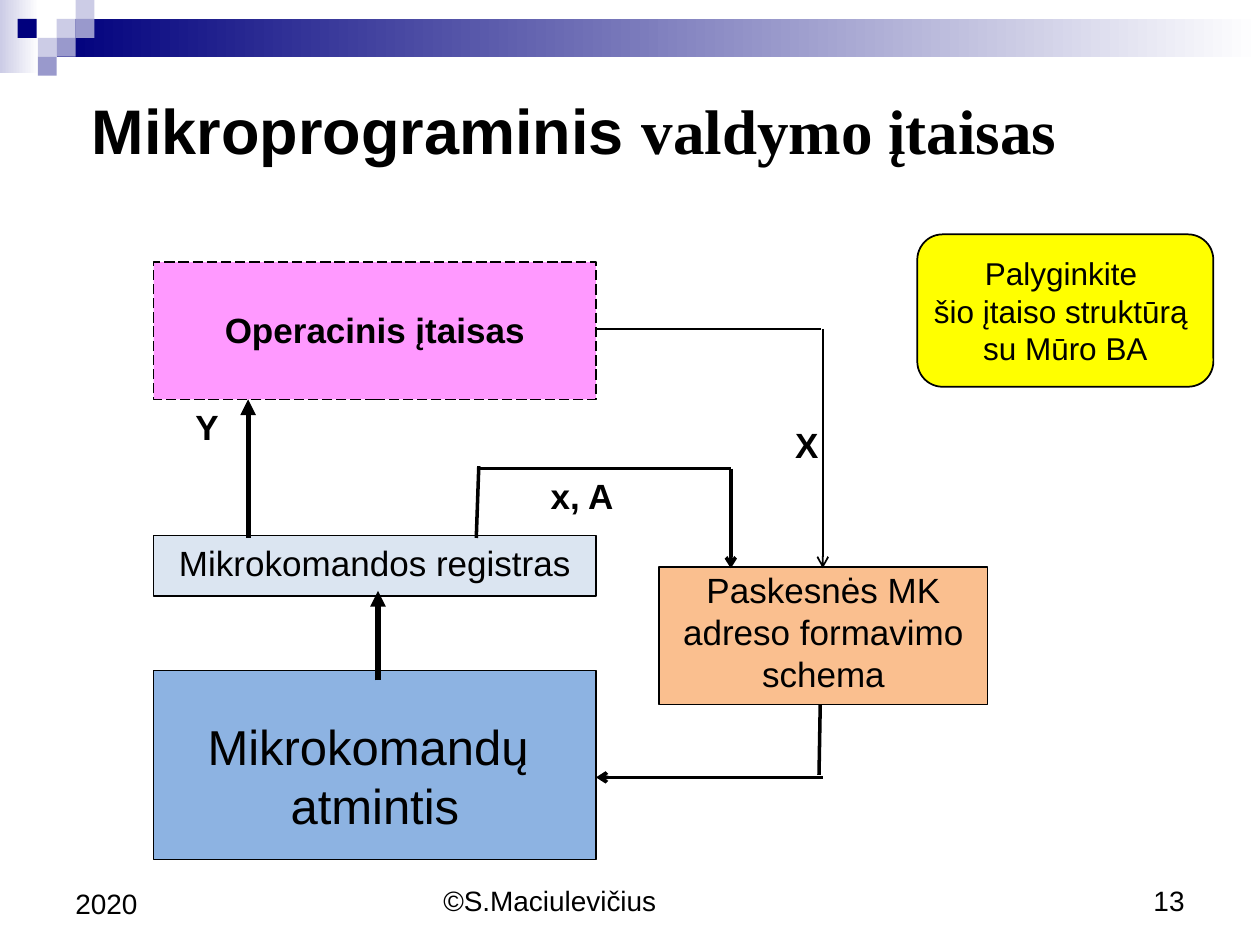
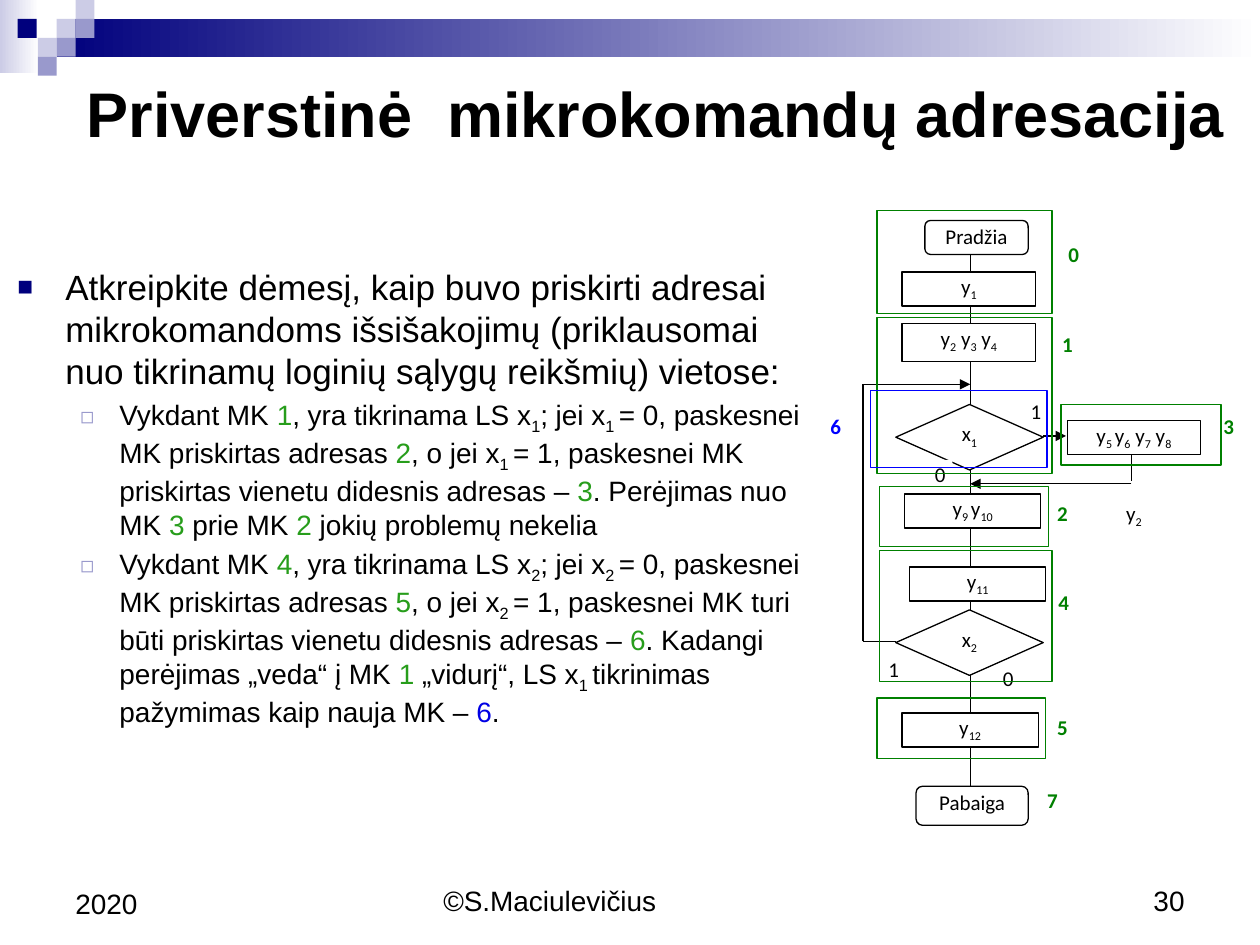
from lxml import etree
from pptx import Presentation
from pptx.dml.color import RGBColor
from pptx.enum.dml import MSO_LINE
from pptx.enum.shapes import MSO_CONNECTOR, MSO_SHAPE
from pptx.enum.text import MSO_ANCHOR, MSO_AUTO_SIZE, PP_ALIGN
from pptx.oxml.ns import qn
from pptx.util import Inches, Pt

RECT, ROUND, DIAMOND = MSO_SHAPE.RECTANGLE, MSO_SHAPE.ROUNDED_RECTANGLE, MSO_SHAPE.DIAMOND
LEFT, CENTER, RIGHT = PP_ALIGN.LEFT, PP_ALIGN.CENTER, PP_ALIGN.RIGHT
TOP, MIDDLE, BOTTOM = MSO_ANCHOR.TOP, MSO_ANCHOR.MIDDLE, MSO_ANCHOR.BOTTOM

BLACK, WHITE, NAVY = "000000", "FFFFFF", "00007D"
PALE, LILAC = "CCCCE6", "9999CC"
GREEN, BLUE = "008000", "0000FF"
TEXT_GREEN, TEXT_BLUE = "279D1B", "0000E4"
NORMAL_INSETS = (0.1, 0.05, 0.1, 0.05)
TIGHT_INSETS = (0.02, 0.01, 0.02, 0.01)

# Marked runs: {_sub}, {ggreen}, {bblue}, {tTimes}

# Shared decoration and footers
GRADIENTS = [((0, 0, 0.31, 0.58), PALE), ((0.45, 0.15, 9.55, 0.3), NAVY)]
SQUARE = 0.15
SQUARES = [(0.45, 0.15, PALE), (0.6, 0, PALE), (0.6, 0.15, LILAC), (0.3, 0.3, PALE),
           (0.14, 0.15, NAVY), (0.45, 0.3, LILAC), (0.3, 0.45, LILAC)]
YEAR, AUTHOR = "2020", "©S.Maciulevičius"

# Slide 13: control unit
UNIT_TITLE = "Mikroprograminis {tvaldymo įtaisas}"
# text, place, fill, size, bold, insets, dash
UNIT_BLOCKS = [
    (["Mikrokomandos registras"], (1.22, 4.25, 3.51, 0.48), "DBE5F1", 20, False, NORMAL_INSETS, None),
    (["Operacinis įtaisas"], (1.22, 2.08, 3.51, 1.09), "FF99FF", 20, True,
     (0.1, 0.37, 0.1, 0.05), MSO_LINE.LONG_DASH),
    (["Mikrokomandų ", "atmintis"], (1.22, 5.32, 3.51, 1.5), "8DB3E2", 28, False,
     (0.1, 0.37, 0.1, 0.05), None),
    (["Paskesnės MK adreso formavimo schema"], (5.23, 4.5, 2.61, 1.09), "FABF8F", 20, False,
     (0.1, 0.01, 0.1, 0.01), None),
]
# start, end, width, arrowhead
UNIT_SIGNALS = [
    ((3, 5.4), (3, 4.69), 3, "triangle"),
    ((6.53, 6.17), (4.73, 6.17), 2, "arrow"),
    ((1.97, 4.27), (1.97, 3.17), 3, "triangle"),
    ((3.8, 3.7), (3.78, 4.27), 2, None),
    ((3.8, 3.72), (5.8, 3.72), 2, None),
    ((6.51, 5.59), (6.5, 6.15), 2, None),
    ((6.53, 2.61), (6.53, 4.51), 1, "arrow"),
    ((5.8, 3.72), (5.8, 4.51), 2, "arrow"),
    ((4.73, 2.61), (6.52, 2.61), 1, None),
]
SIGNAL_NAMES = [("Y", (1.53, 3.21, 0.35, 0.4)), ("X", (6.29, 3.35, 0.35, 0.4)),
                ("x, A", (4.35, 3.76, 0.75, 0.4))]
HINT = ["Palyginkite ", "šio įtaiso struktūrą ", "su Mūro BA"]

# Slide 30: forced addressing
ADDRESSING_TITLE = "Priverstinė  mikrokomandų adresacija"
# level, text
ADDRESSING_POINTS = [
    (0, "Atkreipkite dėmesį, kaip buvo priskirti adresai mikrokomandoms išsišakojimų "
        "(priklausomai nuo tikrinamų loginių sąlygų reikšmių) vietose:"),
    (1, "Vykdant MK {g1}, yra tikrinama LS x{_1}; jei x{_1 }= 0, paskesnei MK priskirtas adresas "
        "{g2}, o jei x{_1 }= 1, paskesnei MK priskirtas vienetu didesnis adresas – {g3}. "
        "Perėjimas nuo MK {g3} prie MK {g2 }jokių problemų nekelia"),
    (1, "Vykdant MK {g4}, yra tikrinama LS x{_2}; jei x{_2 }= 0, paskesnei MK priskirtas adresas "
        "{g5}, o jei x{_2 }= 1, paskesnei MK turi būti priskirtas vienetu didesnis adresas – {g6}. "
        "Kadangi perėjimas „veda“ į MK {g1 }„vidurį“, LS x{_1 }tikrinimas pažymimas kaip "
        "nauja MK – {b6}."),
]
# size, left indent, hanging, bullet, bullet colour, bullet percent
POINT_LEVELS = [(20, 0.38, 0.38, "■", NAVY, 75), (16, 0.81, 0.31, "◻", LILAC, 80)]

FLOW_NODES = [
    (ROUND, "Pradžia", (7.34, 1.75, 0.82, 0.27)),
    (RECT, "y{_1}", (7.16, 2.16, 1.06, 0.27)),
    (RECT, "y{_2} y{_3} y{_4}", (7.16, 2.57, 1.06, 0.3)),
    (DIAMOND, "x{_1}", (7.11, 3.21, 1.17, 0.52)),
    (RECT, "y{_5 }y{_6} y{_7} y{_8}", (8.47, 3.34, 1.06, 0.27)),
    (RECT, "y{_9 }y{_10}", (7.18, 3.92, 1.08, 0.27)),
    (RECT, "y{_11}", (7.22, 4.5, 1.08, 0.27)),
    (DIAMOND, "x{_2}", (7.11, 4.84, 1.17, 0.52)),
    (RECT, "y{_12}", (7.16, 5.66, 1.08, 0.27)),
    (ROUND, "Pabaiga", (7.27, 6.24, 0.89, 0.31)),
]
FLOW_TRUNK = ((7.7, 1.85), (7.7, 6.24))
FLOW_BRANCHES = [
    ((7.11, 5.09), (6.85, 5.09), None),
    ((6.85, 5.09), (6.85, 3.05), None),
    ((8.98, 3.61), (8.98, 3.82), None),
    ((6.85, 3.05), (7.7, 3.05), "triangle"),
    ((8.98, 3.84), (7.7, 3.84), "triangle"),
    ((8.28, 3.46), (8.46, 3.46), "triangle"),
]
CONDITIONS = [("0", 7.4, 3.65), ("1", 8.16, 3.15), ("0", 7.94, 5.27), ("1", 7.03, 5.2)]
ADDRESSES = [("0", 8.46, 1.91, GREEN), ("1", 8.41, 2.62, GREEN), ("2", 8.37, 3.96, GREEN),
             ("3", 9.69, 3.27, GREEN), ("4", 8.38, 4.67, GREEN), ("5", 8.37, 5.66, GREEN),
             ("6", 6.57, 3.27, BLUE), ("7", 8.29, 6.24, GREEN)]
COMMAND_FRAMES = [
    ((6.96, 1.67, 1.39, 0.82), GREEN), ((6.96, 2.52, 1.39, 1.24), GREEN),
    ((8.42, 3.21, 1.27, 0.48), GREEN), ((6.98, 3.86, 1.34, 0.48), GREEN),
    ((6.98, 4.37, 1.37, 1.04), GREEN), ((6.96, 5.54, 1.34, 0.48), GREEN),
    ((6.91, 3.1, 1.4, 0.61), BLUE),
]


def rgb(code):
    return RGBColor.from_string(code)


def inches(values):
    return [Inches(value) for value in values]


def add_runs(paragraph, marked, size, font="Arial", color=BLACK, bold=False):
    """Split marked text into runs; odd parts start with a one-letter mark."""
    for index, part in enumerate(marked.replace("{", "}").split("}")):
        mark, words = (part[0], part[1:]) if index % 2 else ("", part)
        if not words:
            continue
        run = paragraph.add_run()
        run.text = words
        run.font.size, run.font.bold = Pt(size), bold
        run.font.name = "Times New Roman" if mark == "t" else font
        run.font.color.rgb = rgb({"g": TEXT_GREEN, "b": TEXT_BLUE}.get(mark, color))
        if mark == "_":
            run.font._element.set("baseline", "-25000")


def set_frame(shape, insets=NORMAL_INSETS, anchor=TOP, wrap=True):
    frame = shape.text_frame
    frame.auto_size = MSO_AUTO_SIZE.NONE
    frame.word_wrap, frame.vertical_anchor = wrap, anchor
    (frame.margin_left, frame.margin_top,
     frame.margin_right, frame.margin_bottom) = inches(insets)
    return frame


def write(shape, lines, size, align=CENTER, insets=NORMAL_INSETS, anchor=TOP, wrap=True, **style):
    frame = set_frame(shape, insets, anchor, wrap)
    for index, line in enumerate(lines):
        paragraph = frame.add_paragraph() if index else frame.paragraphs[0]
        paragraph.alignment = align
        add_runs(paragraph, line, size, **style)


def add_block(slide, kind, place, fill=None, line=None, width=0.75):
    block = slide.shapes.add_shape(kind, *inches(place))
    block.shadow.inherit = False
    if fill:
        block.fill.solid()
        block.fill.fore_color.rgb = rgb(fill)
    else:
        block.fill.background()
    if line:
        block.line.color.rgb = rgb(line)
        block.line.width = Pt(width)
    else:
        block.line.fill.background()
    return block


def add_label(slide, text, place, size, **style):
    write(slide.shapes.add_textbox(*inches(place)), [text], size, **style)


def add_line(slide, start, end, width=0.75, arrowhead=None):
    line = slide.shapes.add_connector(MSO_CONNECTOR.STRAIGHT, *inches(start + end))
    line.line.color.rgb = rgb(BLACK)
    line.line.width = Pt(width)
    if arrowhead:
        etree.SubElement(line.line._get_or_add_ln(), qn("a:tailEnd"), type=arrowhead)
    etree.SubElement(line._element.spPr, qn("a:effectLst"))


def add_bullet(paragraph, sign, color, percent, left, hanging):
    props = paragraph._p.get_or_add_pPr()
    props.set("marL", str(Inches(left)))
    props.set("indent", str(-Inches(hanging)))
    bullet_color = etree.SubElement(props, qn("a:buClr"))
    etree.SubElement(bullet_color, qn("a:srgbClr"), val=color)
    etree.SubElement(props, qn("a:buSzPct"), val=str(percent * 1000))
    etree.SubElement(props, qn("a:buFont"), typeface="Arial")
    etree.SubElement(props, qn("a:buChar"), char=sign)


def add_slide(deck, title, place, number, line_spacing=None):
    """Add a title-only slide with the shared band, squares and footers."""
    slide = deck.slides.add_slide(deck.slide_layouts[5])
    for band_place, start_color in GRADIENTS:
        band = add_block(slide, RECT, band_place)
        band.fill.gradient()
        band.fill.gradient_angle = 0
        for stop, color, position in zip(band.fill.gradient_stops, (start_color, WHITE), (0, 1)):
            stop.color.rgb = rgb(color)
            stop.position = position
    for left, top, color in SQUARES:
        add_block(slide, RECT, (left, top, SQUARE, SQUARE), color)
    add_label(slide, AUTHOR, (3.42, 6.83, 3.17, 0.5), 16, align=LEFT, anchor=BOTTOM)
    add_label(slide, number, (7.17, 6.83, 2.33, 0.5), 16, align=RIGHT, anchor=BOTTOM)
    add_label(slide, YEAR, (0.5, 6.83, 2.33, 0.52), 16, align=LEFT, anchor=BOTTOM)
    heading = slide.shapes.title
    heading.left, heading.top, heading.width, heading.height = inches(place)
    write(heading, [title], 36, align=LEFT, anchor=MIDDLE, bold=True)
    if line_spacing:
        heading.text_frame.paragraphs[0].line_spacing = Pt(line_spacing)
    return slide


def build_control_unit(deck):
    slide = add_slide(deck, UNIT_TITLE, (0.63, 0.62, 9, 0.81), "13")
    for lines, place, fill, size, bold, insets, dash in UNIT_BLOCKS:
        block = add_block(slide, RECT, place, fill, BLACK)
        if dash:
            block.line.dash_style = dash
        write(block, lines, size, insets=insets, bold=bold)
    for signal in UNIT_SIGNALS:
        add_line(slide, *signal)
    for name, place in SIGNAL_NAMES:
        add_label(slide, name, place, 20, align=LEFT, insets=(0.02, 0.01, 0.02, 0.05), bold=True)
    hint = add_block(slide, ROUND, (7.28, 1.86, 2.35, 1.21), "FFFF00", BLACK, 1)
    write(hint, HINT, 18, anchor=MIDDLE, wrap=False)


def add_points(slide):
    frame = set_frame(slide.shapes.add_textbox(*inches((0.04, 2.06, 6.6, 4.68))))
    for index, (level, text) in enumerate(ADDRESSING_POINTS):
        size, left, hanging, sign, color, percent = POINT_LEVELS[level]
        paragraph = frame.add_paragraph() if index else frame.paragraphs[0]
        paragraph.level = level
        paragraph.space_before = Pt(size * 0.2)
        add_bullet(paragraph, sign, color, percent, left, hanging)
        add_runs(paragraph, text, size)


def add_flowchart(slide):
    small = {"size": 12, "font": "Calibri"}
    add_line(slide, *FLOW_TRUNK)
    for kind, text, place in FLOW_NODES:
        insets = (0.04, 0, 0.04, 0) if kind == DIAMOND else TIGHT_INSETS
        write(add_block(slide, kind, place, WHITE, BLACK), [text], insets=insets, **small)
    add_label(slide, "y{_2}", (8.47, 3.96, 1.06, 0.27), insets=TIGHT_INSETS, **small)
    for start, end, arrowhead in FLOW_BRANCHES:
        add_line(slide, start, end, arrowhead=arrowhead)
    for value, left, top in CONDITIONS:
        condition = add_block(slide, RECT, (left, top, 0.16, 0.24), WHITE)
        write(condition, [value], align=LEFT, insets=TIGHT_INSETS, **small)
    for value, left, top, color in ADDRESSES:
        add_label(slide, value, (left, top, 0.19, 0.25), align=LEFT, insets=TIGHT_INSETS,
                  color=color, bold=True, **small)
    for place, color in COMMAND_FRAMES:
        add_block(slide, RECT, place, line=color)


def main():
    deck = Presentation()
    deck.slide_width, deck.slide_height = inches((10, 7.5))
    build_control_unit(deck)
    addressing = add_slide(deck, ADDRESSING_TITLE, (0.59, 0.44, 9.29, 0.94), "30", 40)
    add_points(addressing)
    add_flowchart(addressing)
    deck.save("out.pptx")


if __name__ == "__main__":
    main()
